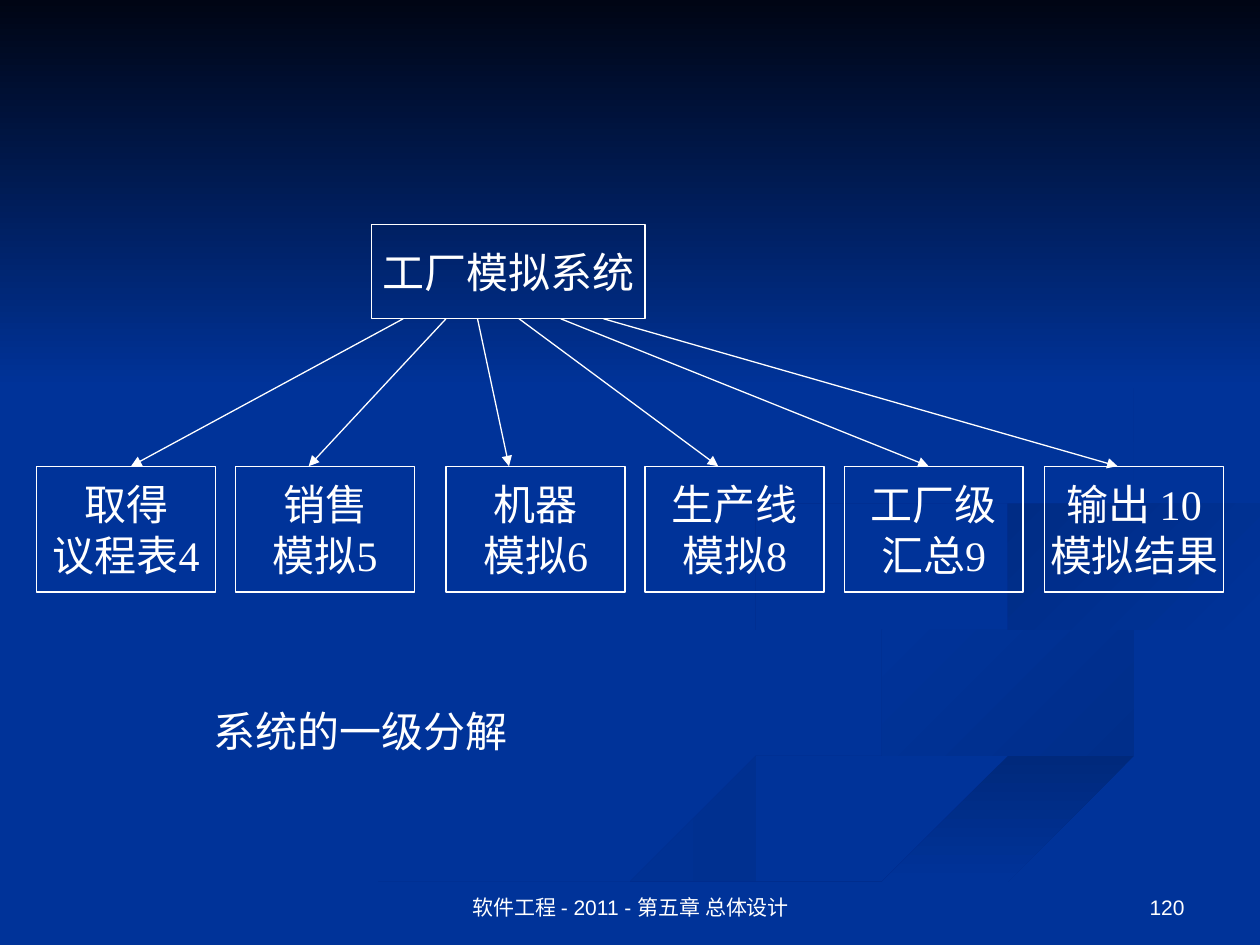
from lxml import etree
from pptx import Presentation, util as u
from pptx.dml.color import RGBColor
from pptx.enum import shapes, text
from pptx.oxml.ns import qn

WHITE, BLUE = "FFFFFF", "003399"

RIBBONS = [
    ([(5.75, 4.59), (5.94, 4.85), (6.82, 5.19), (7.81, 5.53), (7.97, 5.88), (6.51, 6.4),
      (4.99, 6.87), (3.61, 7.49)],
     [(3, 7.49), (4.58, 6.74), (6.52, 6.2), (7.67, 5.87), (7.76, 5.53), (6.79, 5.19),
      (5.81, 4.83), (5.75, 4.59)], "002E8A", BLUE, 180),
    ([(7.24, 4.64), (7.58, 4.98), (8.7, 5.3), (9.35, 5.57), (9.37, 5.86), (8.94, 6.05)],
     [(8.94, 6.05), (9.18, 5.81), (8.92, 5.53), (7.97, 5.24), (7.33, 4.88), (7.24, 4.64)],
     "002E8A", BLUE, 225),
    ([(5.03, 7.49), (6.3, 6.93), (7.64, 6.47), (9.2, 6.06), (9.98, 5.81)],
     [(9.98, 6.09), (8.21, 6.51), (6.7, 7.02), (5.71, 7.49)], "00297C", BLUE, 90),
    ([(8.26, 4.96), (7.81, 4.6), (8.21, 4.33), (9.33, 4.15), (9.98, 4.02)],
     [(9.98, 4.2), (8.78, 4.39), (8.05, 4.72), (8.26, 4.96)], BLUE, "002C85", 225),
    ([(7.62, 2.33), (8.54, 2.83), (8.94, 3.44), (8.41, 3.96), (6.83, 4.3), (5.96, 4.61),
      (6.22, 5)],
     [(6.22, 5), (5.77, 4.62), (6.49, 4.2), (8.18, 3.86), (8.89, 3.35), (8.46, 2.79),
      (7.62, 2.33)], BLUE, "002B81", 225),
]

MODULES = [
    (0.29, "取得\n议程表4", 3.2, 1.04),
    (1.87, "销售\n模拟5", 3.54, 2.45),
    (3.54, "机器\n模拟6", 3.79, 4.04),
    (5.12, "生产线\n模拟8", 4.12, 5.7),
    (6.7, "工厂级\n汇总9", 4.45, 7.37),
    (8.29, "输出 10\n模拟结果", 4.79, 8.87),
]


def color(value):
    """Turn a hex string into a colour."""
    return RGBColor.from_string(value)


def smooth(points, steps=6):
    """Return a Catmull-Rom curve through the points."""
    padded = [points[0], *points, points[-1]]
    curve = [points[0]]
    for a, b, c, d in zip(padded, padded[1:], padded[2:], padded[3:]):
        for step in range(1, steps + 1):
            t = step / steps
            curve.append(tuple(
                q + t * (r - p + t * (2 * p - 5 * q + 4 * r - s
                                      + t * (3 * q - p - 3 * r + s))) / 2
                for p, q, r, s in zip(a, b, c, d)))
    return curve


def shade(shape, start, end, angle):
    """Fill a borderless shape with a gradient turned clockwise by angle."""
    shape.shadow.inherit = False
    shape.line.fill.background()
    shape.fill.gradient()
    shape.fill.gradient_angle = 360 - angle
    for stop, value in zip(shape.fill.gradient_stops, (start, end)):
        stop.color.rgb = color(value)


def add_ribbon(slide, there, back, start, end, angle):
    """Draw a shaded ribbon between two curved edges."""
    points = smooth(there) + smooth(back)
    builder = slide.shapes.build_freeform(*points[0], scale=u.Inches(1))
    builder.add_line_segments(points[1:], close=True)
    shade(builder.convert_to_shape(), start, end, angle)


def add_rectangle(slide, *place):
    """Add a plain rectangle."""
    return slide.shapes.add_shape(shapes.MSO_SHAPE.RECTANGLE, *map(u.Inches, place))


def write(shape, content, size, font, alignment, anchor, wrap):
    """Put white text into a shape."""
    frame = shape.text_frame
    frame.text = content
    frame.word_wrap = wrap
    frame.vertical_anchor = anchor
    for paragraph in frame.paragraphs:
        paragraph.alignment = alignment
        for run in paragraph.runs:
            run.font.size = u.Pt(size)
            run.font.name = font
            run.font.color.rgb = color(WHITE)


def add_box(slide, content, *place):
    """Add an outlined module box with centred text."""
    shape = add_rectangle(slide, *place)
    shape.shadow.inherit = False
    shape.fill.background()
    shape.line.color.rgb = color(WHITE)
    shape.line.width = u.Pt(0.75)
    write(shape, content, 24, "Times New Roman", text.PP_ALIGN.CENTER,
          text.MSO_ANCHOR.MIDDLE, False)


def add_arrow(slide, *ends):
    """Add a white line with an arrowhead at its end."""
    connector = slide.shapes.add_connector(
        shapes.MSO_CONNECTOR.STRAIGHT, *map(u.Inches, ends))
    connector.line.color.rgb = color(WHITE)
    connector.line.width = u.Pt(0.75)
    properties = connector._element.spPr
    etree.SubElement(properties.find(qn("a:ln")), qn("a:tailEnd"), type="triangle")
    etree.SubElement(properties, qn("a:effectLst"))


def add_label(slide, content, place, size, font, alignment, anchor, wrap=True):
    """Add a plain text box."""
    shape = slide.shapes.add_textbox(*map(u.Inches, place))
    write(shape, content, size, font, alignment, anchor, wrap)
    return shape


def main():
    """Build the slide and save it."""
    presentation = Presentation()
    presentation.slide_width, presentation.slide_height = u.Inches(10), u.Inches(7.5)
    slide = presentation.slides.add_slide(presentation.slide_layouts[6])
    slide.background.fill.solid()
    slide.background.fill.fore_color.rgb = color(BLUE)
    for ribbon in RIBBONS:
        add_ribbon(slide, *ribbon)
    shade(add_rectangle(slide, 0, 0, 10, 3.08), "000514", BLUE, 90)

    add_box(slide, "工厂模拟系统", 2.95, 1.78, 2.17, 0.75)
    for left, name, _, _ in MODULES:
        add_box(slide, name, left, 3.7, 1.42, 1)
    for _, _, start, end in MODULES:
        add_arrow(slide, start, 2.53, end, 3.7)

    align, anchor = text.PP_ALIGN, text.MSO_ANCHOR
    caption = add_label(slide, "系统的一级分解", (1.6, 5.55, 2.53, 0.5), 24,
                        "Times New Roman", align.LEFT, anchor.TOP, False)
    caption.text_frame.auto_size = text.MSO_AUTO_SIZE.SHAPE_TO_FIT_TEXT
    add_label(slide, "软件工程 - 2011 - 第五章 总体设计", (3.42, 6.83, 3.17, 0.52),
              12, "Arial", align.CENTER, anchor.BOTTOM)
    add_label(slide, "120", (7.17, 6.83, 2.33, 0.52), 12, "Arial",
              align.RIGHT, anchor.BOTTOM)
    presentation.save("out.pptx")


if __name__ == "__main__":
    main()
